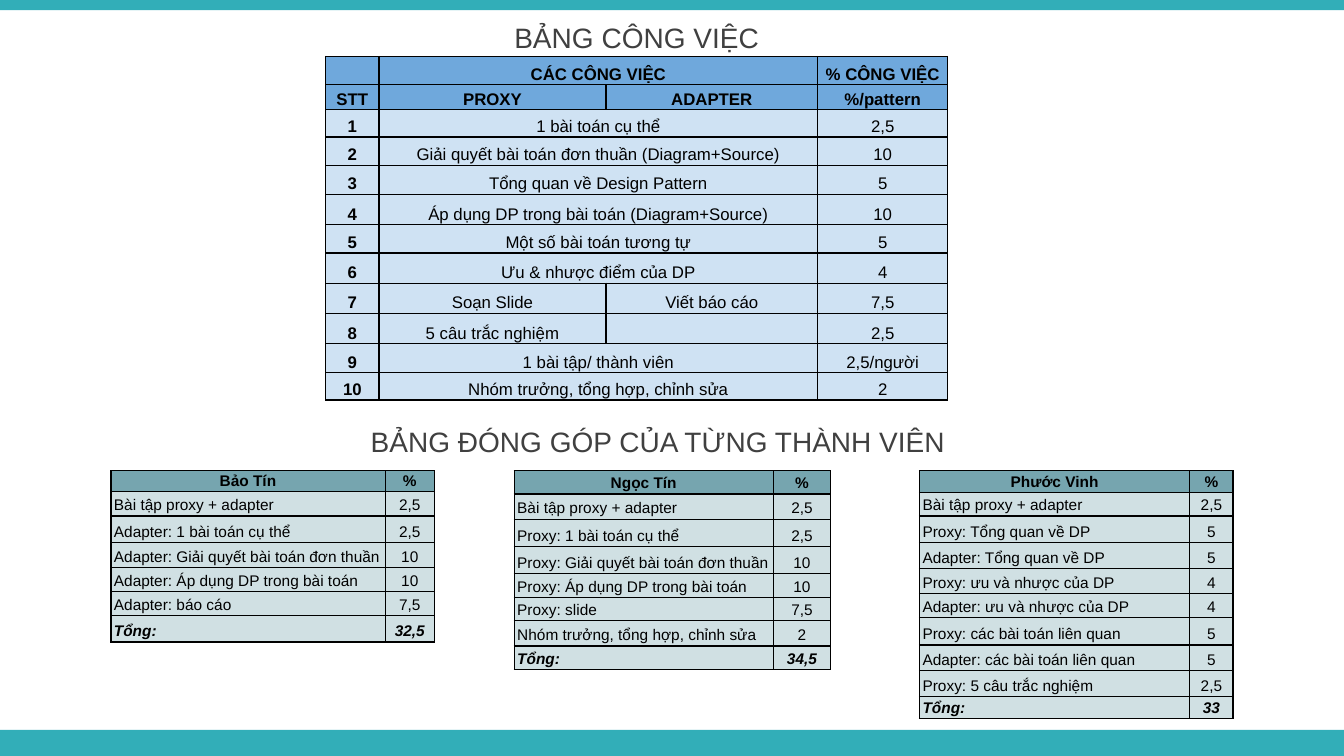
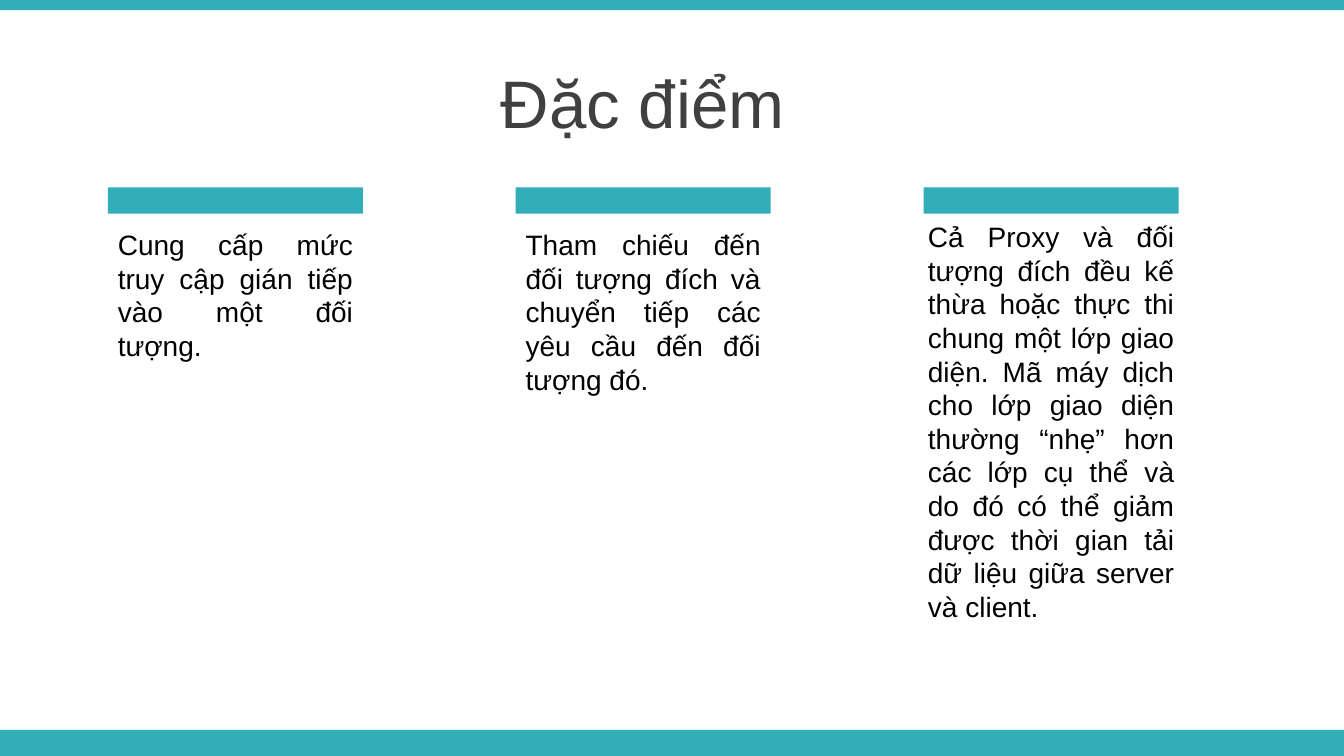
from lxml.etree import SubElement
from pptx import Presentation
from pptx.dml.color import RGBColor
from pptx.enum.shapes import MSO_SHAPE
from pptx.enum.text import MSO_ANCHOR, MSO_AUTO_SIZE, PP_ALIGN
from pptx.oxml.ns import qn
from pptx.util import Inches, Pt

COLORS = {
    "band": "32AEB8",
    "title": "404040",
    "text": "000000",
    "work_head": "6FA8DC",
    "work_body": "CFE2F3",
    "member_head": "76A5AF",
    "member_body": "D0E0E3",
}
FONT = "Arial"
SLIDE_WIDTH, SLIDE_HEIGHT = 13.33, 7.5
TITLE_HEIGHT = 0.84

WORK_COLUMNS = [0.53, 2.25, 2.1, 1.29]
MERGED = None
WORK_ROWS = [
    (0.28, "", "CÁC CÔNG VIỆC", MERGED, "% CÔNG VIỆC"),
    (0.25, "STT", "PROXY", "ADAPTER", "%/pattern"),
    (0.27, "1", "1 bài toán cụ thể", MERGED, "2,5"),
    (0.28, "2", "Giải quyết bài toán đơn thuần (Diagram+Source)", MERGED, "10"),
    (0.29, "3", "Tổng quan về Design Pattern", MERGED, "5"),
    (0.3, "4", "Áp dụng DP trong bài toán (Diagram+Source)", MERGED, "10"),
    (0.28, "5", "Một số bài toán tương tự", MERGED, "5"),
    (0.3, "6", "Ưu & nhược điểm của DP", MERGED, "4"),
    (0.3, "7", "Soạn Slide", "Viết báo cáo", "7,5"),
    (0.3, "8", "5 câu trắc nghiệm", "", "2,5"),
    (0.29, "9", "1 bài tập/ thành viên", MERGED, "2,5/người"),
    (0.27, "10", "Nhóm trưởng, tổng hợp, chỉnh sửa", MERGED, "2"),
]

MEMBERS = [
    (1.1, [2.72, 0.49], [
        (0.21, "Bảo Tín", "%"),
        (0.24, "Bài tập proxy + adapter", "2,5"),
        (0.26, "Adapter: 1 bài toán cụ thể", "2,5"),
        (0.25, "Adapter: Giải quyết bài toán đơn thuần", "10"),
        (0.24, "Adapter: Áp dụng DP trong bài toán", "10"),
        (0.24, "Adapter: báo cáo", "7,5"),
        (0.26, "Tổng:", "32,5"),
    ]),
    (5.1, [2.57, 0.57], [
        (0.23, "Ngọc Tín", "%"),
        (0.25, "Bài tập proxy + adapter", "2,5"),
        (0.27, "Proxy: 1 bài toán cụ thể", "2,5"),
        (0.27, "Proxy: Giải quyết bài toán đơn thuần", "10"),
        (0.24, "Proxy: Áp dụng DP trong bài toán", "10"),
        (0.23, "Proxy: slide", "7,5"),
        (0.25, "Nhóm trưởng, tổng hợp, chỉnh sửa", "2"),
        (0.23, "Tổng:", "34,5"),
    ]),
    (9.12, [2.68, 0.43], [
        (0.22, "Phước Vinh", "%"),
        (0.23, "Bài tập proxy + adapter", "2,5"),
        (0.26, "Proxy: Tổng quan về DP", "5"),
        (0.26, "Adapter: Tổng quan về DP", "5"),
        (0.25, "Proxy: ưu và nhược của DP", "4"),
        (0.24, "Adapter: ưu và nhược của DP", "4"),
        (0.27, "Proxy: các bài toán liên quan", "5"),
        (0.25, "Adapter: các bài toán liên quan", "5"),
        (0.26, "Proxy: 5 câu trắc nghiệm", "2,5"),
        (0.22, "Tổng:", "33"),
    ]),
]

FEATURES = [
    ("Cung cấp mức truy cập gián tiếp vào một đối tượng.", 2.21, 2.53, 1.45),
    ("Tham chiếu đến đối tượng đích và chuyển tiếp các yêu cầu đến đối tượng đó.",
     2.21, 2.53, 1.78),
    ("Cả Proxy và đối tượng đích đều kế thừa hoặc thực thi chung một lớp giao diện. "
     "Mã máy dịch cho lớp giao diện thường “nhẹ” hơn các lớp cụ thể và do đó có thể "
     "giảm được thời gian tải dữ liệu giữa server và client.", 2.13, 2.64, 4.14),
]


def color(name):
    return RGBColor.from_string(COLORS[name])


def write(text_frame, text, size, color_name, align, bold=False, italic=False):
    text_frame.text = text
    paragraph = text_frame.paragraphs[0]
    paragraph.alignment = align
    for run in paragraph.runs:
        font = run.font
        font.name, font.size = FONT, Pt(size)
        font.bold, font.italic = bold, italic
        font.color.rgb = color(color_name)


def add_bar(shapes, left, top, width, height):
    bar = shapes.add_shape(MSO_SHAPE.RECTANGLE, Inches(left), Inches(top),
                           Inches(width), Inches(height))
    bar.shadow.inherit = False
    bar.fill.solid()
    bar.fill.fore_color.rgb = color("band")
    bar.line.fill.background()
    return bar


def add_layout_bands(layout, slide):
    tree = layout.element.cSld.spTree
    for top, height in ((0, 0.1), (7.24, 0.26)):
        band = add_bar(slide.shapes, 0, top, SLIDE_WIDTH, height)
        tree.insert(2, band.element)


def format_heading(shape, text, left, top, size):
    shape.left, shape.top = Inches(left), Inches(top)
    shape.width, shape.height = Inches(SLIDE_WIDTH), Inches(TITLE_HEIGHT)
    text_frame = shape.text_frame
    text_frame.word_wrap = True
    text_frame.auto_size = MSO_AUTO_SIZE.NONE
    text_frame.vertical_anchor = MSO_ANCHOR.MIDDLE
    write(text_frame, text, size, "title", PP_ALIGN.CENTER)


def format_cell(cell, text, size, fill, margins, align, bold, italic=False):
    side, edge = (Inches(margin) for margin in margins)
    cell.margin_left = cell.margin_right = side
    cell.margin_top = cell.margin_bottom = edge
    cell.vertical_anchor = MSO_ANCHOR.BOTTOM
    write(cell.text_frame, text, size, "text", align, bold, italic)
    if not text:
        SubElement(cell.text_frame.paragraphs[0]._p, qn("a:endParaRPr"),
                   sz=str(size * 100))
    properties = cell._tc.get_or_add_tcPr()
    for border in ("a:lnL", "a:lnR", "a:lnT", "a:lnB"):
        line = SubElement(properties, qn(border), w=str(Pt(1)))
        line_fill = SubElement(line, qn("a:solidFill"))
        SubElement(line_fill, qn("a:srgbClr"), val=COLORS["text"])
    cell.fill.solid()
    cell.fill.fore_color.rgb = color(fill)


def add_grid(slide, left, top, columns, heights):
    frame = slide.shapes.add_table(len(heights), len(columns), Inches(left), Inches(top),
                                   Inches(sum(columns)), Inches(sum(heights)))
    table = frame.table
    table.first_row = table.horz_banding = False
    for column, width in zip(table.columns, columns):
        column.width = Inches(width)
    for row, height in zip(table.rows, heights):
        row.height = Inches(height)
    return table


def add_work_table(slide, left, top):
    table = add_grid(slide, left, top, WORK_COLUMNS, [row[0] for row in WORK_ROWS])
    for row_index, (_, *texts) in enumerate(WORK_ROWS):
        is_head = row_index < 2
        fill = "work_head" if is_head else "work_body"
        for column_index, text in enumerate(texts):
            cell = table.cell(row_index, column_index)
            format_cell(cell, text or "", 12, fill, (0.01, 0.01), PP_ALIGN.CENTER,
                        bold=is_head or column_index == 0)
            if text is MERGED:
                table.cell(row_index, column_index - 1).merge(cell)


def add_member_table(slide, left, top, columns, rows):
    table = add_grid(slide, left, top, columns, [row[0] for row in rows])
    for row_index, (_, *texts) in enumerate(rows):
        is_head, is_total = row_index == 0, row_index == len(rows) - 1
        fill = "member_head" if is_head else "member_body"
        for column_index, text in enumerate(texts):
            centered = is_head or column_index == 1
            format_cell(table.cell(row_index, column_index), text, 11, fill, (0.03, 0.02),
                        PP_ALIGN.CENTER if centered else PP_ALIGN.LEFT,
                        bold=is_head or is_total, italic=is_total)


def add_feature(slide, left, top, text, text_top, text_width, text_height):
    bar_width = 2.53
    group = slide.shapes.add_group_shape()
    add_bar(group.shapes, left, top, bar_width, 0.26)
    box = group.shapes.add_textbox(Inches(left + (bar_width - text_width) / 2),
                                   Inches(text_top), Inches(text_width),
                                   Inches(text_height))
    box.text_frame.word_wrap = True
    write(box.text_frame, text, 20, "text", PP_ALIGN.JUSTIFY)


def build_work_slide(slide):
    format_heading(slide.shapes.title, "BẢNG CÔNG VIỆC", -0.35, -0.05, 20)
    add_work_table(slide, 3.23, 0.56)
    for left, columns, rows in MEMBERS:
        add_member_table(slide, left, 4.67, columns, rows)
    heading = slide.shapes.add_textbox(0, 0, 0, 0)
    format_heading(heading, "BẢNG ĐÓNG GÓP CỦA TỪNG THÀNH VIÊN", -0.14, 3.96, 20)


def build_feature_slide(slide):
    format_heading(slide.shapes.title, "Đặc điểm", -0.29, 0.59, 48)
    first_left, last_left = 1.07, 9.16
    step = (last_left - first_left) / (len(FEATURES) - 1)
    for index, feature in enumerate(FEATURES):
        add_feature(slide, first_left + index * step, 1.86, *feature)


def main():
    presentation = Presentation()
    presentation.slide_width = Inches(SLIDE_WIDTH)
    presentation.slide_height = Inches(SLIDE_HEIGHT)
    layout = presentation.slide_layouts[5]
    work_slide = presentation.slides.add_slide(layout)
    add_layout_bands(layout, work_slide)
    build_work_slide(work_slide)
    build_feature_slide(presentation.slides.add_slide(layout))
    presentation.save("out.pptx")


if __name__ == "__main__":
    main()
